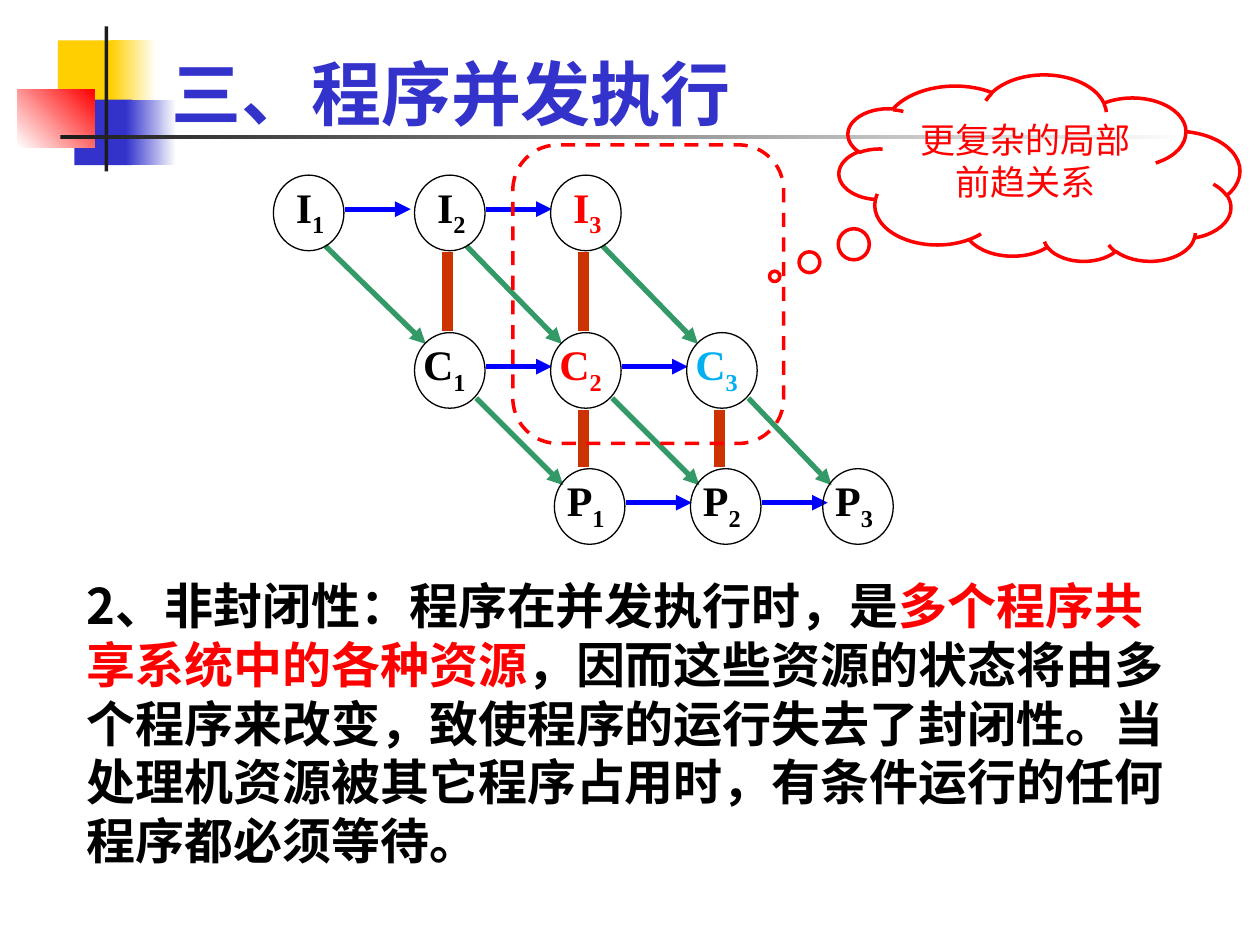
from dataclasses import dataclass
from pptx import Presentation
from pptx.dml.color import RGBColor
from pptx.enum.dml import MSO_LINE
from pptx.enum.shapes import MSO_CONNECTOR, MSO_SHAPE
from pptx.enum.text import MSO_ANCHOR, MSO_AUTO_SIZE, PP_ALIGN
from pptx.oxml.ns import qn
from pptx.util import Inches, Pt
from lxml.etree import SubElement


@dataclass(frozen=True)
class Theme:
    """Colours, fonts and type sizes of the slide."""
    black: str = "000000"
    ink: str = "1C1C1C"
    white: str = "FFFFFF"
    gold: str = "FFCF01"
    navy: str = "3333CC"
    red: str = "FF0000"
    blue: str = "0000FF"
    sky: str = "00B0F0"
    green: str = "339966"
    rust: str = "CC3300"
    sans: str = "Noto Sans CJK SC"
    serif: str = "Times New Roman"
    head: int = 40
    body: int = 28
    node: int = 24
    note: int = 20
    lead: float = 1.2


T = Theme()
WIDE, TALL = 0.56, 0.6
TOPS = (1.39, 2.64, 3.72)
COLS = ((2.17, 3.29, 4.37), (3.29, 4.37, 5.45), (4.4, 5.48, 6.53))
SHIFT = (0.08, -0.03, 0)
INKS = ((T.black, T.black, T.red), (T.black, T.red, T.sky), (T.black,) * 3)
LEAVE = ((0.41, 0.56), (0.49, 0.52))
REACH = ((0.09, 0.09), (0.07, 0.13))


def rgb(code):
    """Turn a hex code into a colour."""
    return RGBColor.from_string(code)


def box(*area):
    """Turn inches into slide lengths."""
    return [Inches(side) for side in area]


def add_run(para, text, size, color, face=T.sans, bold=True, base=0):
    """Add one formatted run to a paragraph."""
    run = para.add_run()
    run.text = text
    font = run.font
    font.size, font.bold, font.name = Pt(size), bold, face
    font.color.rgb = rgb(color)
    props = run._r.get_or_add_rPr()
    SubElement(props, qn("a:ea")).set("typeface", face)
    if base:
        props.set("baseline", str(base * 1000))


def add_form(slide, kind, area, line=None, width=1, dash=None):
    """Add a hollow preset shape with an optional outline."""
    form = slide.shapes.add_shape(kind, *box(*area))
    form.shadow.inherit = False
    form.fill.background()
    if line:
        form.line.color.rgb = rgb(line)
        form.line.width = Pt(width)
        form.line.dash_style = dash
    else:
        form.line.fill.background()
    return form


def add_block(slide, area, first, last=None, angle=0):
    """Add a block with a plain or fading fill."""
    fill = add_form(slide, MSO_SHAPE.RECTANGLE, area).fill
    if last is None:
        fill.solid()
        fill.fore_color.rgb = rgb(first)
        return
    fill.gradient()
    fill.gradient_angle = angle
    for stop, color, place in zip(fill.gradient_stops, (first, last), (0, 1)):
        stop.color.rgb = rgb(color)
        stop.position = place


def add_link(slide, start, end, color, width=3, arrow=True):
    """Add a straight line, with an arrowhead if wanted."""
    link = slide.shapes.add_connector(MSO_CONNECTOR.STRAIGHT, *box(*start, *end))
    link.line.color.rgb = rgb(color)
    link.line.width = Pt(width)
    if arrow:
        SubElement(link.line._get_or_add_ln(), qn("a:tailEnd")).set("type", "triangle")
    SubElement(link.element.spPr, qn("a:effectLst"))


def add_text(slide, area):
    """Add a wrapped text box and return its paragraph."""
    frame = slide.shapes.add_textbox(*box(*area)).text_frame
    frame.word_wrap = True
    return frame.paragraphs[0]


def spot(row, col, shift=(0, 0)):
    """Give a point measured from the corner of a node."""
    return COLS[row][col] + shift[0], TOPS[row] + shift[1]


def add_node(slide, row, col):
    """Add one circled step with its index."""
    add_form(slide, MSO_SHAPE.OVAL, (*spot(row, col), WIDE, TALL), T.black, 0.75)
    para = add_text(slide, (*spot(row, col, (SHIFT[row], 0)), 0.65, 0.64))
    color = INKS[row][col]
    add_run(para, "ICP"[row], T.node, color, T.serif)
    add_run(para, str(col + 1), T.node, color, T.serif, base=-25)


def add_graph(slide):
    """Add the steps and the links between them."""
    for row in range(3):
        for col in range(3):
            if row < 2:
                add_link(slide, spot(row, col, LEAVE[row]),
                         spot(row + 1, col, REACH[row]), T.green)
            if row < 2 and col:
                x, y = spot(row, col, (0.26, 0.61))
                add_link(slide, (x, y), (x, TOPS[row + 1] - 0.01), T.rust, 6, False)
            if col < 2:
                x, y = spot(row, col, (0.57, 0.27))
                add_link(slide, (x, y), (x + 0.52, y), T.blue)
            add_node(slide, row, col)


def add_decor(slide):
    """Add the coloured blocks and rules by the title."""
    add_block(slide, (0.46, 0.32, 0.48, 0.52), T.gold)
    add_block(slide, (0.88, 0.32, 0.36, 0.52), T.gold, T.white)
    add_block(slide, (0.59, 0.79, 0.46, 0.52), T.navy)
    add_block(slide, (1, 0.79, 0.4, 0.52), T.navy, T.white)
    add_block(slide, (0.14, 0.71, 0.61, 0.46), T.white, T.red, 45)
    add_block(slide, (0.83, 0.21, 0.03, 1.15), T.ink)
    add_block(slide, (0.48, 1.07, 9, 0.03), T.ink, T.white)


def set_title(slide):
    """Place and fill the title above the blocks."""
    title = slide.shapes.title
    title.left, title.top, title.width, title.height = box(1.26, 0.37, 6.97, 0.7)
    frame = title.text_frame
    frame.auto_size = MSO_AUTO_SIZE.NONE
    frame.vertical_anchor = MSO_ANCHOR.BOTTOM
    frame.margin_bottom = 0
    para = frame.paragraphs[0]
    para.alignment = PP_ALIGN.LEFT
    para.line_spacing = Pt(T.head * T.lead)
    add_run(para, "三、程序并发执行", T.head, T.navy)
    title.element.getparent().append(title.element)


def add_body(slide):
    """Add the paragraph under the graph."""
    para = add_text(slide, (0.59, 4.52, 8.82, 2.46))
    para.line_spacing = Pt(T.body * T.lead)
    for text, color in (
        ("2、非封闭性：程序在并发执行时，是", T.black),
        ("多个程序共享系统中的各种资源", T.red),
        ("，因而这些资源的状态将由多个程序来改变，致使程序的运行失去了封闭性。"
         "当处理机资源被其它程序占用时，有条件运行的任何程序都必须等待。", T.black),
    ):
        add_run(para, text, T.body, color)


def add_cloud(slide):
    """Add the flipped thought cloud with upright text."""
    cloud = add_form(slide, MSO_SHAPE.CLOUD_CALLOUT, (6.66, 0.6, 3.18, 1.48), T.red, 2)
    cloud.adjustments[0], cloud.adjustments[1] = -0.661, -0.577
    cloud.element.spPr.find(qn("a:xfrm")).set("flipV", "1")
    frame = cloud.text_frame
    frame.word_wrap = True
    frame.vertical_anchor = MSO_ANCHOR.TOP
    frame._txBody.bodyPr.set("rot", "10800000")
    para = frame.paragraphs[0]
    para.alignment = PP_ALIGN.CENTER
    para.line_spacing = Pt(T.note * T.lead)
    add_run(para, "更复杂的局部前趋关系", T.note, T.red, bold=False)


def main():
    """Build and save the slide."""
    deck = Presentation()
    deck.slide_width, deck.slide_height = box(10, 7.5)
    slide = deck.slides.add_slide(deck.slide_layouts[5])
    add_decor(slide)
    set_title(slide)
    add_body(slide)
    add_graph(slide)
    add_form(slide, MSO_SHAPE.ROUNDED_RECTANGLE, (4.07, 1.15, 2.15, 2.37),
             T.red, 2, MSO_LINE.DASH)
    add_cloud(slide)
    deck.save("out.pptx")


if __name__ == "__main__":
    main()
